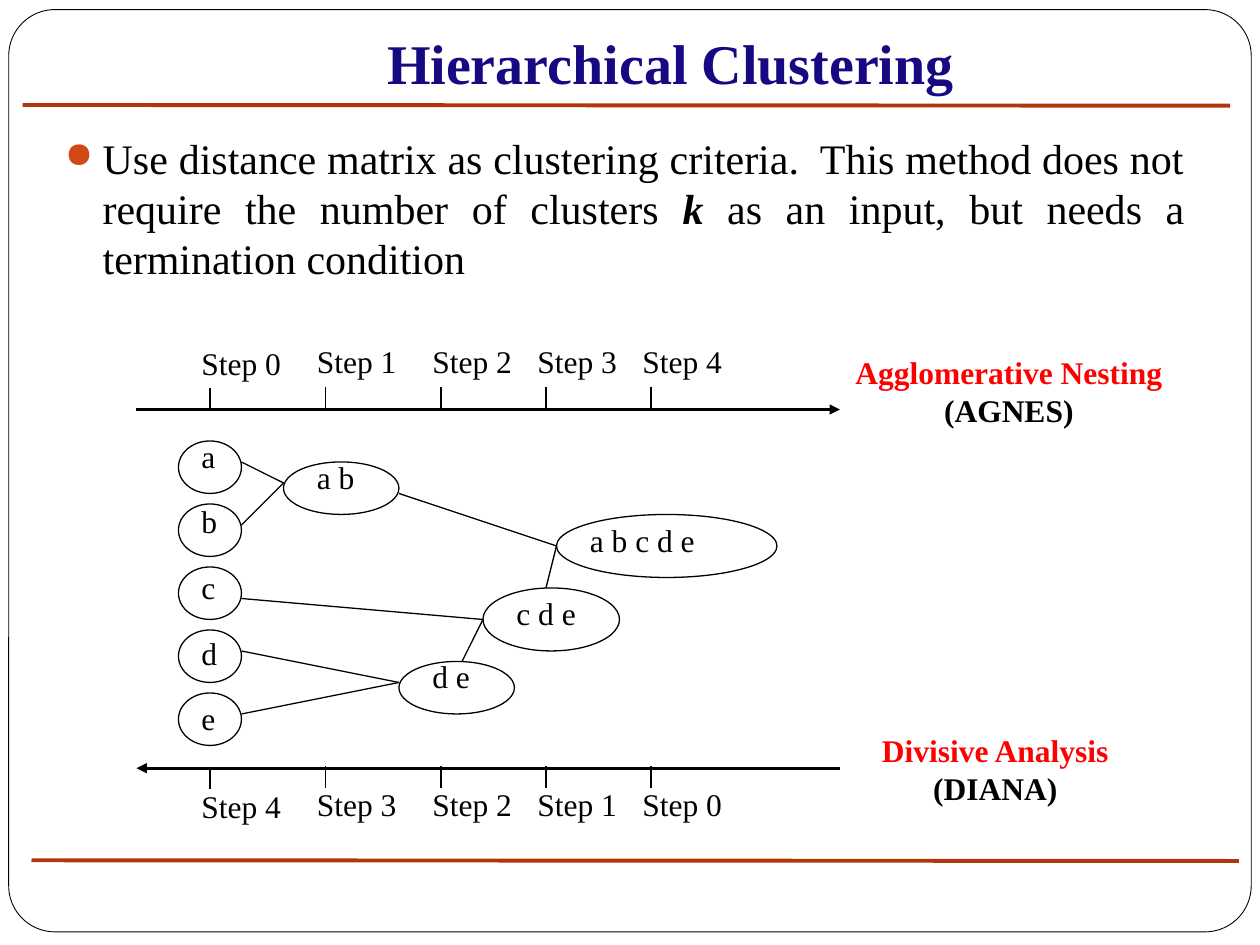
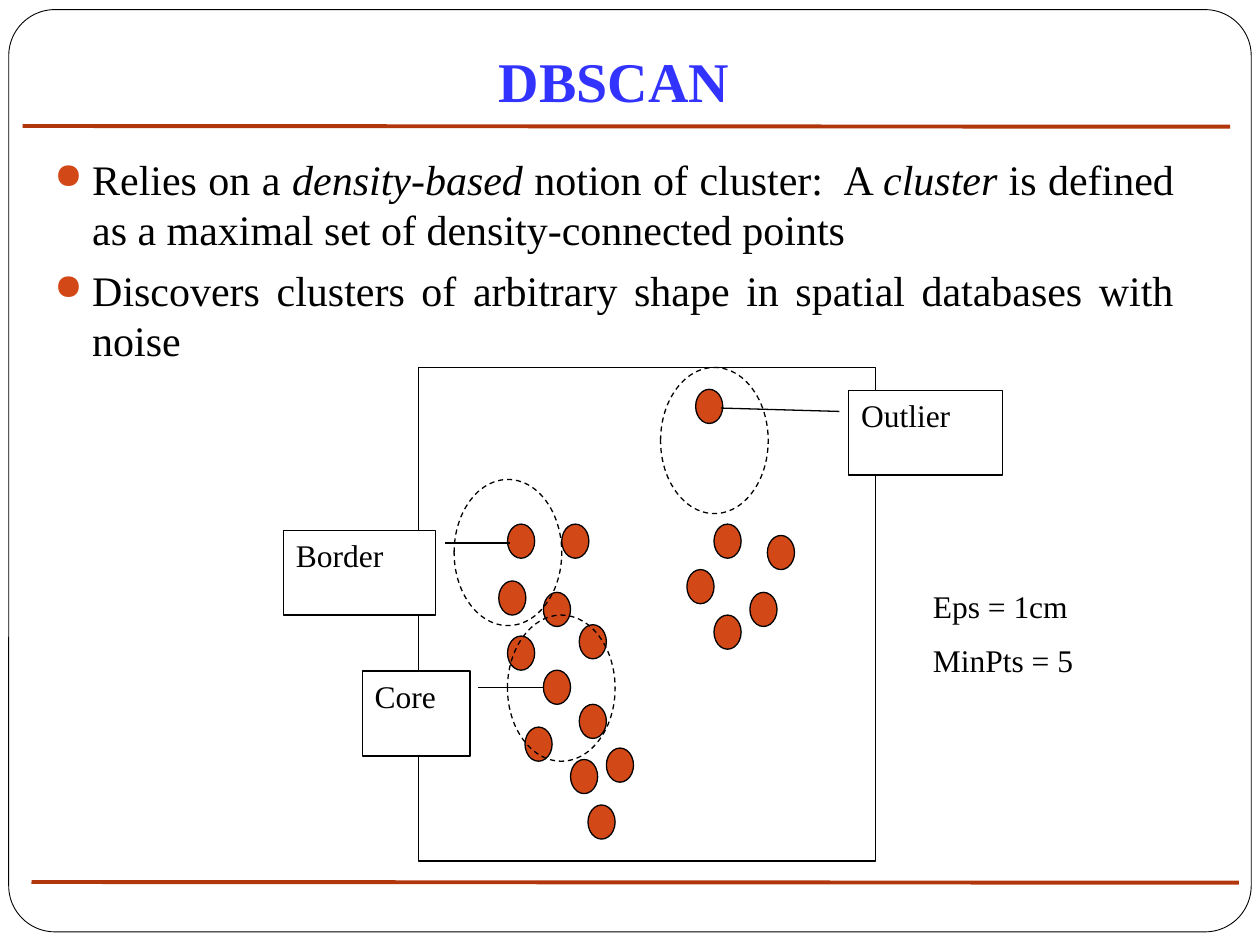
from lxml import etree
from pptx import Presentation
from pptx.dml.color import RGBColor
from pptx.enum.dml import MSO_LINE
from pptx.enum.shapes import MSO_CONNECTOR, MSO_SHAPE
from pptx.enum.text import MSO_ANCHOR, PP_ALIGN
from pptx.oxml.ns import qn
from pptx.util import Pt

LINE = MSO_CONNECTOR.STRAIGHT
OVAL, BOX, FRAME = MSO_SHAPE.OVAL, MSO_SHAPE.RECTANGLE, MSO_SHAPE.ROUNDED_RECTANGLE
CALLOUT = MSO_SHAPE.LINE_CALLOUT_1
LEFT, CENTER, JUSTIFY = PP_ALIGN.LEFT, PP_ALIGN.CENTER, PP_ALIGN.JUSTIFY
TOP, MIDDLE, BOTTOM = MSO_ANCHOR.TOP, MSO_ANCHOR.MIDDLE, MSO_ANCHOR.BOTTOM
DASH = MSO_LINE.DASH

COLORS = {
    "black": "000000",
    "white": "FFFFFF",
    "navy": "170981",
    "blue": "3333FF",
    "red": "FF0000",
    "rust": "B1360B",
    "orange": "D34817",
}
FONT = "Times New Roman"
LABEL_SIZE = 18
BODY_SIZE = 24


def draw(page, kind, bounds, color="black", width=0.75, fill=None, dash=None, arrow=None):
    """Add a shape (left, top, width, height) or a line (x1, y1, x2, y2)."""
    add = page.shapes.add_connector if kind is LINE else page.shapes.add_shape
    shape = add(kind, *[Pt(value) for value in bounds])
    shape.line.color.rgb = RGBColor.from_string(COLORS[color])
    shape.line.width = Pt(width)
    if dash:
        shape.line.dash_style = dash
    if kind is LINE:
        properties = shape._element.spPr
        if arrow:
            etree.SubElement(properties.find(qn("a:ln")), qn(f"a:{arrow}"), type="triangle")
        etree.SubElement(properties, qn("a:effectLst"))
        return shape
    shape.shadow.inherit = False
    if fill:
        shape.fill.solid()
        shape.fill.fore_color.rgb = RGBColor.from_string(COLORS[fill])
    else:
        shape.fill.background()
    return shape


def write(frame, paragraphs, size=LABEL_SIZE, align=LEFT, anchor=TOP, wrap=True, gap=0, bullet=False):
    """Fill a text frame; each paragraph is a list of (text, format) spans."""
    frame.word_wrap = wrap
    frame.vertical_anchor = anchor
    for index, spans in enumerate(paragraphs):
        para = frame.add_paragraph() if index else frame.paragraphs[0]
        para.alignment = align
        if index:
            para.space_before = Pt(gap)
        if bullet:
            settings = para._p.get_or_add_pPr()
            settings.set("marL", str(Pt(21.6)))
            settings.set("indent", str(-Pt(21.6)))
            tint = etree.SubElement(settings, qn("a:buClr"))
            etree.SubElement(tint, qn("a:srgbClr"), val=COLORS["orange"])
            etree.SubElement(settings, qn("a:buSzPct"), val="85000")
            etree.SubElement(settings, qn("a:buChar"), char="●")
        for text, changes in spans:
            span = para.add_run()
            span.text = text
            looks = {"name": FONT, "size": Pt(size), "bold": False, "italic": False, **changes}
            color = looks.pop("color", "black")
            for name, value in looks.items():
                setattr(span.font, name, value)
            span.font.color.rgb = RGBColor.from_string(COLORS[color])


deck = Presentation()
deck.slide_width, deck.slide_height = Pt(720), Pt(540)

# Frame, title, rules and body text of both slides
slides = [
    {
        "title": "Hierarchical Clustering", "color": "navy", "anchor": MIDDLE,
        "title_at": (96, 18, 574.5, 34.5), "rules": (60, 491.6), "body_at": (30, 72, 654, 102),
        "body": [[
            ("Use distance matrix as clustering criteria.  This method does not require "
             "the number of clusters ", {}),
            ("k", {"bold": True, "italic": True}),
            (" as an input, but needs a termination condition", {}),
        ]],
    },
    {
        "title": "DBSCAN", "color": "blue", "anchor": BOTTOM,
        "title_at": (66, 18, 570, 54), "rules": (72, 504), "body_at": (24, 84, 654, 384),
        "body": [
            [
                ("Relies on a ", {}),
                ("density-based", {"italic": True}),
                (" notion of cluster:  A ", {}),
                ("cluster", {"italic": True}),
                (" is defined as a maximal set of density-connected points", {}),
            ],
            [("Discovers clusters of arbitrary shape in spatial databases with noise", {})],
        ],
    },
]
pages = []
for content in slides:
    page = deck.slides.add_slide(deck.slide_layouts[5])
    pages.append(page)
    draw(page, FRAME, (5, 5.5, 710, 527), width=0.5).adjustments[0] = 0.05
    title = page.shapes.title
    title.left, title.top, title.width, title.height = [Pt(value) for value in content["title_at"]]
    write(title.text_frame, [[(content["title"], {"bold": True, "color": content["color"]})]],
          size=32, align=CENTER, anchor=content["anchor"])
    if content["anchor"] == BOTTOM:
        title.text_frame.margin_bottom = Pt(7.2)
    body = page.shapes.add_textbox(*[Pt(value) for value in content["body_at"]])
    write(body.text_frame, content["body"], size=BODY_SIZE, align=JUSTIFY, gap=5.8, bullet=True)
    for left, top in zip((13, 18), content["rules"]):
        draw(page, LINE, (left, top, left + 690, top + 0.4), color="rust", width=2.25)

clustering, dbscan = pages

# Step axes: merging runs to the right, splitting to the left
STEP_XS = (120, 186, 252, 312, 372)
axes = [
    {"axis": 234, "tick": 221, "label": 192, "steps": range(5), "arrow": "tailEnd"},
    {"axis": 439, "tick": 438, "label": 445, "steps": range(4, -1, -1), "arrow": "headEnd"},
]
for axis in axes:
    draw(clustering, LINE, (78, axis["axis"], 480, axis["axis"]), width=1.5, arrow=axis["arrow"])
    for x, step in zip(STEP_XS, axis["steps"]):
        drop = 1 if x == STEP_XS[0] else 0
        tick = axis["tick"] + drop
        draw(clustering, LINE, (x, tick, x, tick + 12))
        label = clustering.shapes.add_textbox(Pt(x - 12), Pt(axis["label"] + drop), Pt(60), Pt(29))
        write(label.text_frame, [[(f"Step {step}", {})]])

# Clusters: oval bounds and top of the text
clusters = [(name, (102, 252 + 36 * row, 36, 30), (108, 246 + 37.5 * row))
            for row, name in enumerate("abcde")]
clusters += [
    ("a b", (162, 264, 66, 30), (174, 258)),
    ("d e", (228, 378, 66, 30), (240, 372)),
    ("c d e", (276, 336, 78, 36), (288, 336)),
    ("a b c d e", (318, 294, 126, 36), (330, 294)),
]
for name, oval, (left, top) in clusters:
    label = clustering.shapes.add_textbox(Pt(left), Pt(top), Pt(oval[2] - 10), Pt(36))
    write(label.text_frame, [[(name, {})]], wrap=False)
    draw(clustering, OVAL, oval)

merges = {
    (162, 276): [(138, 264), (138, 300)],
    (228, 390): [(138, 372), (138, 408)],
    (276, 354): [(138, 342), (264, 378)],
    (318, 312): [(228, 282), (312, 336)],
}
for parent, children in merges.items():
    for child in children:
        draw(clustering, LINE, child + parent)

methods = [
    ("Agglomerative Nesting", "(AGNES)", (481.5, 198, 190, 51)),
    ("Divisive Analysis", "(DIANA)", (489.5, 414, 158.5, 51)),
]
for method, acronym, bounds in methods:
    label = clustering.shapes.add_textbox(*[Pt(value) for value in bounds])
    write(label.text_frame, [[(method, {"bold": True, "color": "red"})],
                             [(acronym, {"bold": True})]], align=CENTER)

# Data points, their plot and the neighbourhoods
data_points = [
    (290, 299.5), (285, 332), (310.5, 338.5), (321, 299.5), (331, 357), (290, 363.5),
    (310.5, 383), (300, 415.5), (326, 434), (336, 460), (331, 402.5), (346.5, 427.5),
    (397.5, 222.5), (408, 299.5), (392.5, 325.5), (428.5, 338.5), (438.5, 306), (408, 351.5),
]
for left, top in data_points:
    draw(dbscan, OVAL, (left, top, 15.5, 19.5), fill="orange")
draw(dbscan, BOX, (239, 210, 261.5, 282))
for left, top in [(259.5, 274), (290, 351.5), (377.5, 210)]:
    draw(dbscan, OVAL, (left, top, 61.5, 83.5), dash=DASH)

point_kinds = [
    ("Core", (207, 383.5, 61.5, 48.5), (0.19, 1.08, 0.19, 1.69)),
    ("Border", (162, 303, 87, 48.5), (0.15, 1.06, 0.15, 1.49)),
    ("Outlier", (485, 223, 88, 48.5), (0.25, -0.06, 0.21, -0.83)),
]
for name, bounds, pointer in point_kinds:
    callout = draw(dbscan, CALLOUT, bounds, fill="white")
    for index, value in enumerate(pointer):
        callout.adjustments[index] = value
    write(callout.text_frame, [[(name, {})]])

parameters = dbscan.shapes.add_textbox(Pt(526), Pt(332), Pt(128), Pt(103))
write(parameters.text_frame, [[("Eps = 1cm", {})], [("MinPts = 5", {})]], gap=9)

deck.save("out.pptx")
